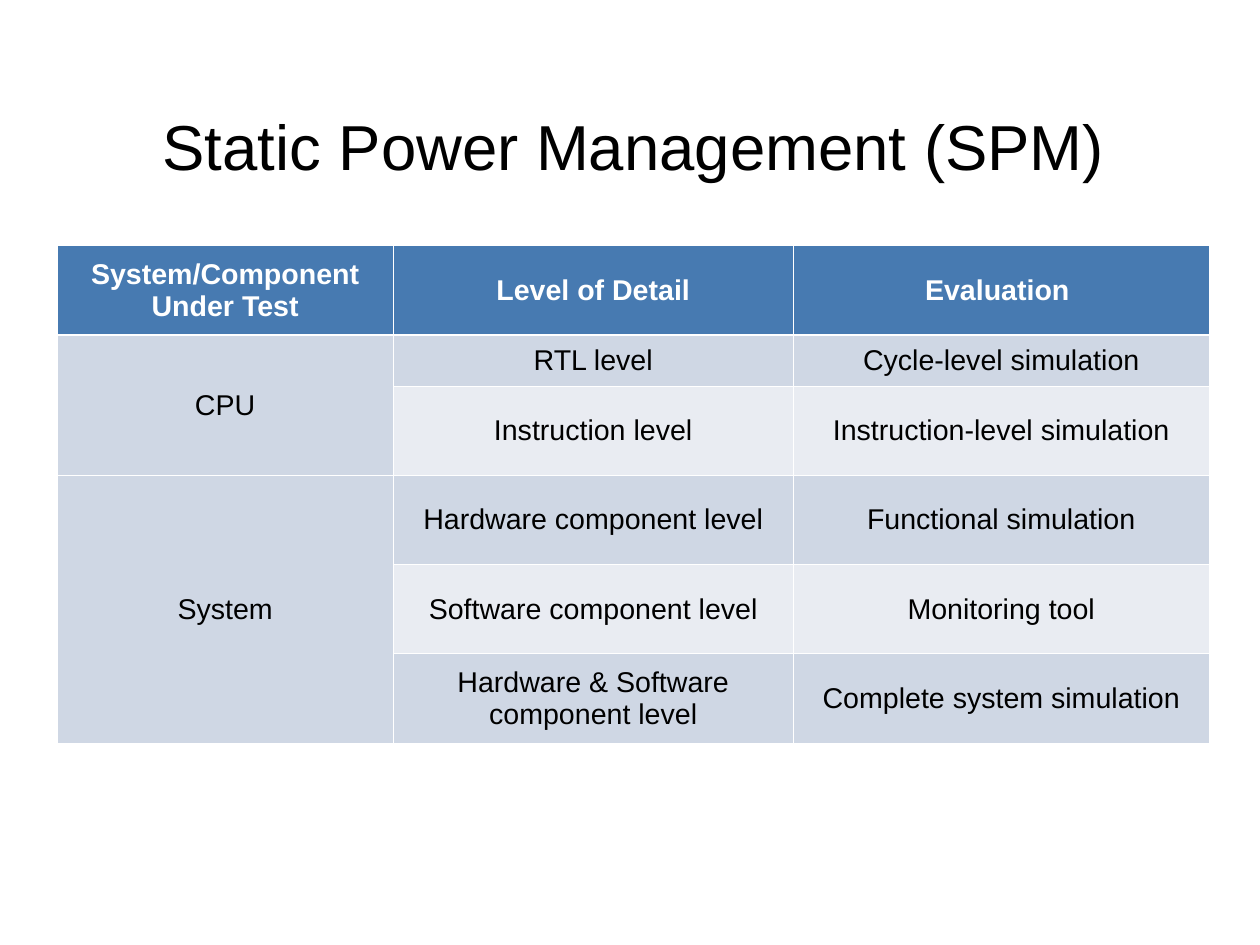
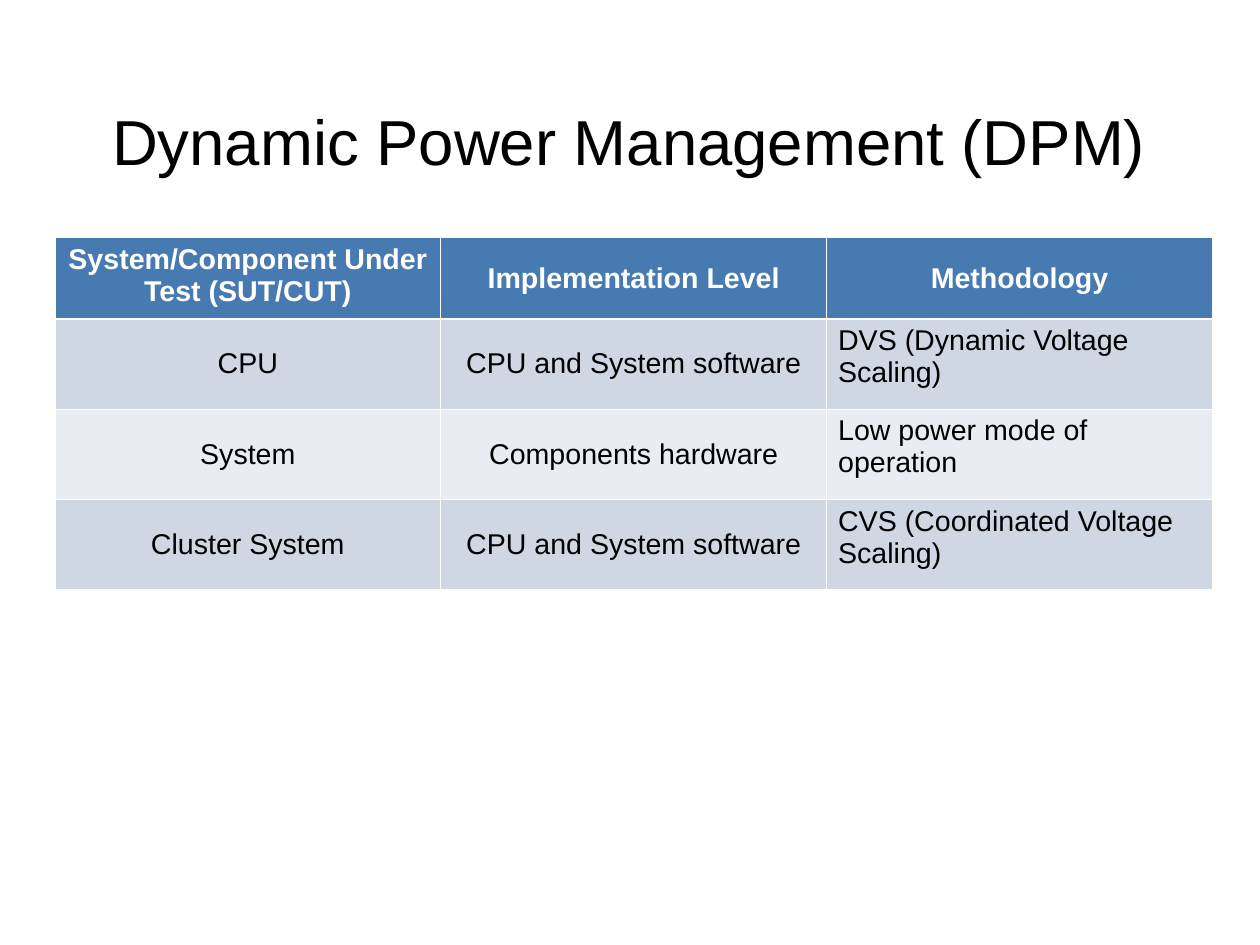
"""Build two slides that tabulate static and dynamic power management."""
from lxml import etree
from pptx import Presentation
from pptx.dml.color import RGBColor
from pptx.enum.text import MSO_ANCHOR, PP_ALIGN
from pptx.oxml.ns import qn
from pptx.util import Inches, Pt

MIDDLE, TOP = MSO_ANCHOR.MIDDLE, MSO_ANCHOR.TOP
CENTER, LEFT = PP_ALIGN.CENTER, PP_ALIGN.LEFT
COLORS = {"text": "000000", "white": "FFFFFF", "header": "477AB1",
          "odd": "CFD7E4", "even": "E9ECF2"}
FONT = "Arial"
THIN, THICK = 0.45, 1.47
CM_PER_INCH = 2.54

SLIDES = [
    {
        "title": "Static Power Management (SPM)",
        "title_at": (0.5, 0.42, 10.08, 1.69),
        "table_at": (0.5, 2.15),
        "columns": [2.94, 3.5, 3.64],
        "rows": [0.78, 0.45] + [0.78] * 4,
        "cells": [
            ["System/Component Under Test", "Level of Detail", "Evaluation "],
            ["CPU", "RTL level", "Cycle-level simulation"],
            ["", "Instruction level", "Instruction-level simulation"],
            ["System", "Hardware component level", "Functional simulation"],
            ["", "Software component level", "Monitoring tool"],
            ["", "Hardware & Software component level", "Complete system simulation"],
        ],
        "merged_rows": [(1, 2), (3, 5)],
        "top_cells": [],
        "left_cells": [],
    },
    {
        "title": "Dynamic Power Management (DPM)",
        "title_at": (0.5, 0.46, 10, 1.54),
        "table_at": (0.48, 2.08),
        "columns": [10.13 / 3] * 3,
        "rows": [0.71] + [0.79] * 3,
        "cells": [
            ["System/Component Under Test (SUT/CUT)", "Implementation Level", "Methodology"],
            ["CPU", "CPU and System software", "DVS (Dynamic Voltage Scaling)"],
            ["System", "Components hardware", "Low power mode of operation"],
            ["Cluster System", "CPU and System software", "CVS (Coordinated Voltage Scaling)"],
        ],
        "merged_rows": [],
        "top_cells": [(0, 0), (1, 2), (2, 2), (3, 2)],
        "left_cells": [(1, 2), (2, 2), (3, 2)],
    },
]


def format_paragraph(para, size, color, bold, align):
    para.alignment = align
    para.font.name = FONT
    para.font.size = Pt(size)
    para.font.bold = bold
    para.font.color.rgb = RGBColor.from_string(COLORS[color])


def set_borders(cell, widths):
    properties = cell._tc.get_or_add_tcPr()
    for position, (side, width) in enumerate(zip("LRTB", widths)):
        line = etree.Element(qn(f"a:ln{side}"), w=str(Pt(width)))
        fill = etree.SubElement(line, qn("a:solidFill"))
        etree.SubElement(fill, qn("a:srgbClr"), val=COLORS["white"])
        properties.insert(position, line)


deck = Presentation()
deck.slide_width = Inches(28 / CM_PER_INCH)
deck.slide_height = Inches(21 / CM_PER_INCH)
title_only = deck.slide_layouts[5]

for content in SLIDES:
    page = deck.slides.add_slide(title_only)
    title = page.shapes.title
    title.left, title.top, title.width, title.height = map(Inches, content["title_at"])
    title.text_frame.text = content["title"]
    title.text_frame.vertical_anchor = MIDDLE
    format_paragraph(title.text_frame.paragraphs[0], 40, "text", False, CENTER)

    columns, rows = content["columns"], content["rows"]
    left, top = content["table_at"]
    table = page.shapes.add_table(
        len(rows), len(columns), Inches(left), Inches(top),
        Inches(sum(columns)), Inches(sum(rows))).table
    for column, width in zip(table.columns, columns):
        column.width = Inches(width)
    for row, height in zip(table.rows, rows):
        row.height = Inches(height)

    for row_index, texts in enumerate(content["cells"]):
        is_header = row_index == 0
        band = "header" if is_header else "odd" if row_index % 2 else "even"
        for column_index, text in enumerate(texts):
            place = (row_index, column_index)
            cell = table.cell(*place)
            cell.text = text
            cell.vertical_anchor = TOP if place in content["top_cells"] else MIDDLE
            cell.fill.solid()
            cell.fill.fore_color.rgb = RGBColor.from_string(COLORS[band])
            set_borders(cell, (THIN, THIN, THICK if row_index == 1 else THIN,
                               THICK if is_header else THIN))
            align = LEFT if place in content["left_cells"] else CENTER
            format_paragraph(cell.text_frame.paragraphs[0], 18,
                             "white" if is_header else "text", is_header, align)

    for first, last in content["merged_rows"]:
        table.cell(first, 0).merge(table.cell(last, 0))

deck.save("out.pptx")
